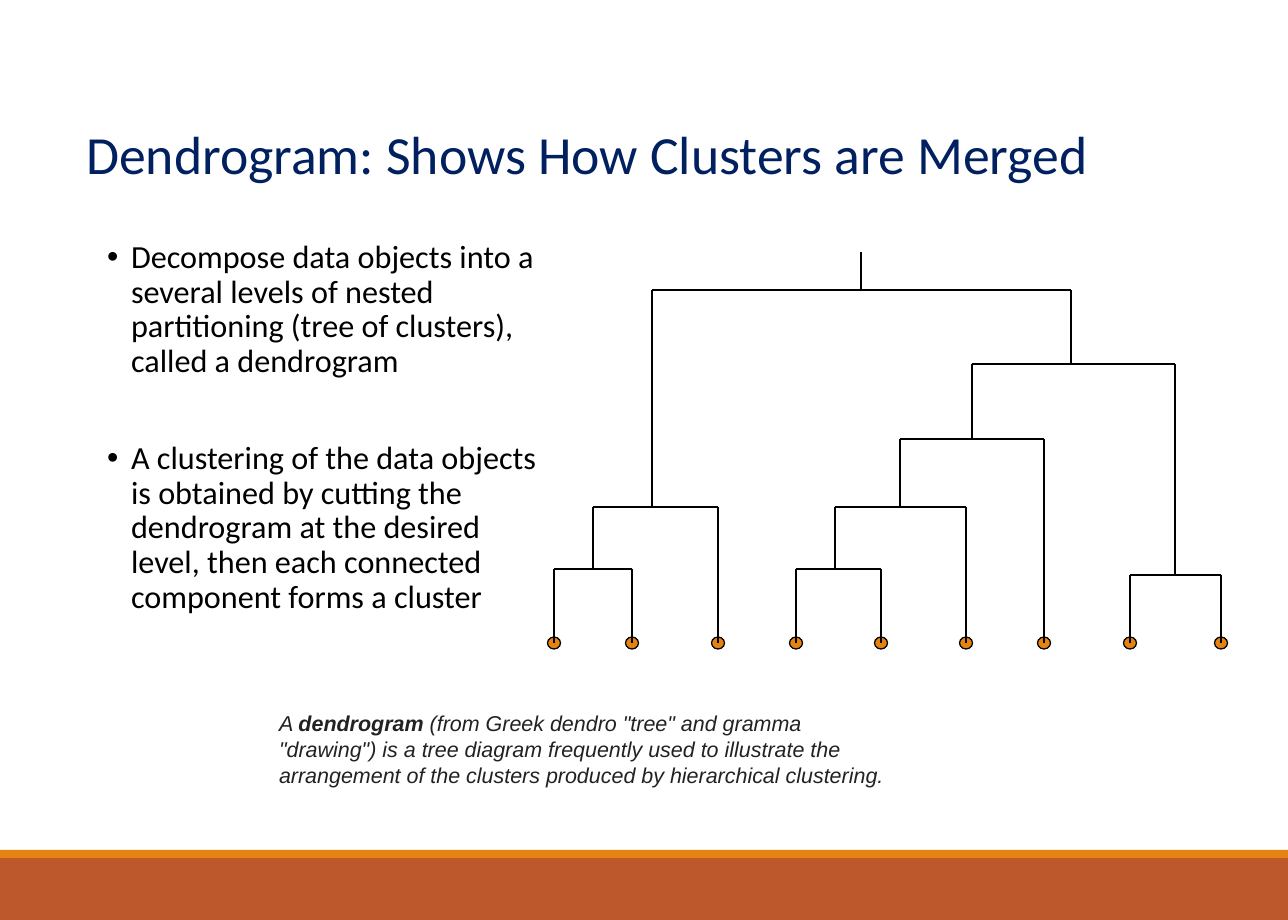
import pptx
import pptx.util
import pptx.dml.color
import pptx.enum.shapes
import pptx.enum.text
import pptx.oxml
import pptx.oxml.ns
from lxml import etree

PX = 914400 / 92
COLORS = {"band": "BD582C", "accent": "E48312", "title": "002060",
          "body": "000000", "line": "000000", "caption": "222222"}


def px(length):
    return pptx.util.Emu(round(length * PX))


def rgb(name):
    return pptx.dml.color.RGBColor.from_string(COLORS[name])


class SlideBuilder:
    """Holds the slide and the style of its elements."""

    def __init__(self, presentation):
        self.slide = presentation.slides.add_slide(presentation.slide_layouts[5])
        self.shapes = self.slide.shapes

    def format_run(self, run, size, color, font="Calibri", bold=False, italic=False):
        run.font.name = font
        run.font.size = pptx.util.Pt(size)
        run.font.bold = bold
        run.font.italic = italic
        run.font.color.rgb = rgb(color)

    def prepare_frame(self, shape):
        frame = shape.text_frame
        frame.word_wrap = True
        frame.auto_size = pptx.enum.text.MSO_AUTO_SIZE.NONE
        frame.vertical_anchor = pptx.enum.text.MSO_ANCHOR.TOP
        return frame

    def title(self, text, left, top, width, height):
        shape = self.shapes.title
        shape.left, shape.top = px(left), px(top)
        shape.width, shape.height = px(width), px(height)
        frame = self.prepare_frame(shape)
        frame.text = text
        paragraph = frame.paragraphs[0]
        paragraph.alignment = pptx.enum.text.PP_ALIGN.LEFT
        paragraph.line_spacing = 0.9
        self.format_run(paragraph.runs[0], 42, "title")

    def text_box(self, left, top, width, height):
        return self.prepare_frame(
            self.shapes.add_textbox(px(left), px(top), px(width), px(height)))

    def bullets(self, texts, left, top, width, height, gap):
        frame = self.text_box(left, top, width, height)
        for index, text in enumerate(texts):
            paragraph = frame.add_paragraph() if index else frame.paragraphs[0]
            paragraph.text = text
            paragraph.line_spacing = 0.9
            paragraph.space_before = pptx.util.Pt(gap if index else 0)
            self.format_run(paragraph.runs[0], 25.2, "body")
            properties = paragraph._p.get_or_add_pPr()
            properties.set("marL", str(px(24)))
            properties.set("indent", str(-px(24)))
            for tag, name, value in (("a:buFont", "typeface", "Arial"),
                                     ("a:buChar", "char", "•")):
                mark = etree.SubElement(properties, pptx.oxml.ns.qn(tag))
                mark.set(name, value)

    def caption(self, parts, left, top, width, height):
        paragraph = self.text_box(left, top, width, height).paragraphs[0]
        for text, bold in parts:
            run = paragraph.add_run()
            run.text = text
            self.format_run(run, 16.8, "caption", "Arial", bold, italic=True)

    def shape(self, kind, left, top, width, height, fill, outline=None):
        shape = self.shapes.add_shape(kind, px(left), px(top), px(width), px(height))
        shape.shadow.inherit = False
        shape.fill.solid()
        shape.fill.fore_color.rgb = rgb(fill)
        if outline:
            shape.line.color.rgb = rgb(outline)
            shape.line.width = pptx.util.Pt(1)
        else:
            shape.line.fill.background()

    def line(self, start, end):
        connector = self.shapes.add_connector(
            pptx.enum.shapes.MSO_CONNECTOR.STRAIGHT,
            px(start[0]), px(start[1]), px(end[0]), px(end[1]))
        connector.line.color.rgb = rgb("line")
        connector.line.width = pptx.util.Pt(1)
        etree.SubElement(connector._element.spPr, pptx.oxml.ns.qn("a:effectLst"))


def main():
    presentation = pptx.Presentation()
    presentation.slide_width, presentation.slide_height = px(1288), px(920)
    builder = SlideBuilder(presentation)
    shape_types = pptx.enum.shapes.MSO_SHAPE

    # Footer bands
    builder.shape(shape_types.RECTANGLE, 0, 858, 1288, 62, "band")
    builder.shape(shape_types.RECTANGLE, 0, 850, 1288, 8, "accent")

    # Title
    builder.title("Dendrogram: Shows How Clusters are Merged", 77, 124, 1048, 126)

    # Dendrogram leaves
    leaf_y = 643
    nodes = {}
    for name, x in zip("ABCDEFGHI", (554, 632, 718, 796, 881, 966, 1044, 1130, 1221)):
        nodes[name] = (x, leaf_y)
        builder.shape(shape_types.OVAL, x - 6.5, leaf_y - 6, 13, 12, "accent", "line")

    # Dendrogram merges: left cluster, right cluster, height of bar, x of stem
    merges = (("A", "B", 569, 593), ("AB", "C", 507, 652),
              ("D", "E", 569, 835), ("DE", "F", 507, 900), ("DEF", "G", 439, 972),
              ("H", "I", 575, 1175), ("DEFG", "HI", 364, 1071),
              ("ABC", "DEFGHI", 290, 861))
    for left, right, bar_y, stem_x in merges:
        corners = [(nodes[child][0], bar_y) for child in (left, right)]
        builder.line(*corners)
        for child, corner in zip((left, right), corners):
            builder.line(corner, nodes[child])
        nodes[left + right] = (stem_x, bar_y)
    root_x, root_y = nodes["ABCDEFGHI"]
    builder.line((root_x, 252), (root_x, root_y))

    # Explanation
    builder.bullets((
        "Decompose data objects into a several levels of nested partitioning "
        "(tree of clusters), called a dendrogram",
        "A clustering of the data objects is obtained by cutting the dendrogram "
        "at the desired level, then each connected component forms a cluster",
    ), 98, 236, 450, 389, gap=48.5)

    # Definition
    builder.caption((
        ("A ", False),
        ("dendrogram", True),
        (" (from Greek dendro \"tree\" and gramma \"drawing\") is a tree diagram "
         "frequently used to illustrate the arrangement of the clusters produced "
         "by hierarchical clustering.", False),
    ), 270, 706, 644, 87)

    presentation.save("out.pptx")


if __name__ == "__main__":
    main()
